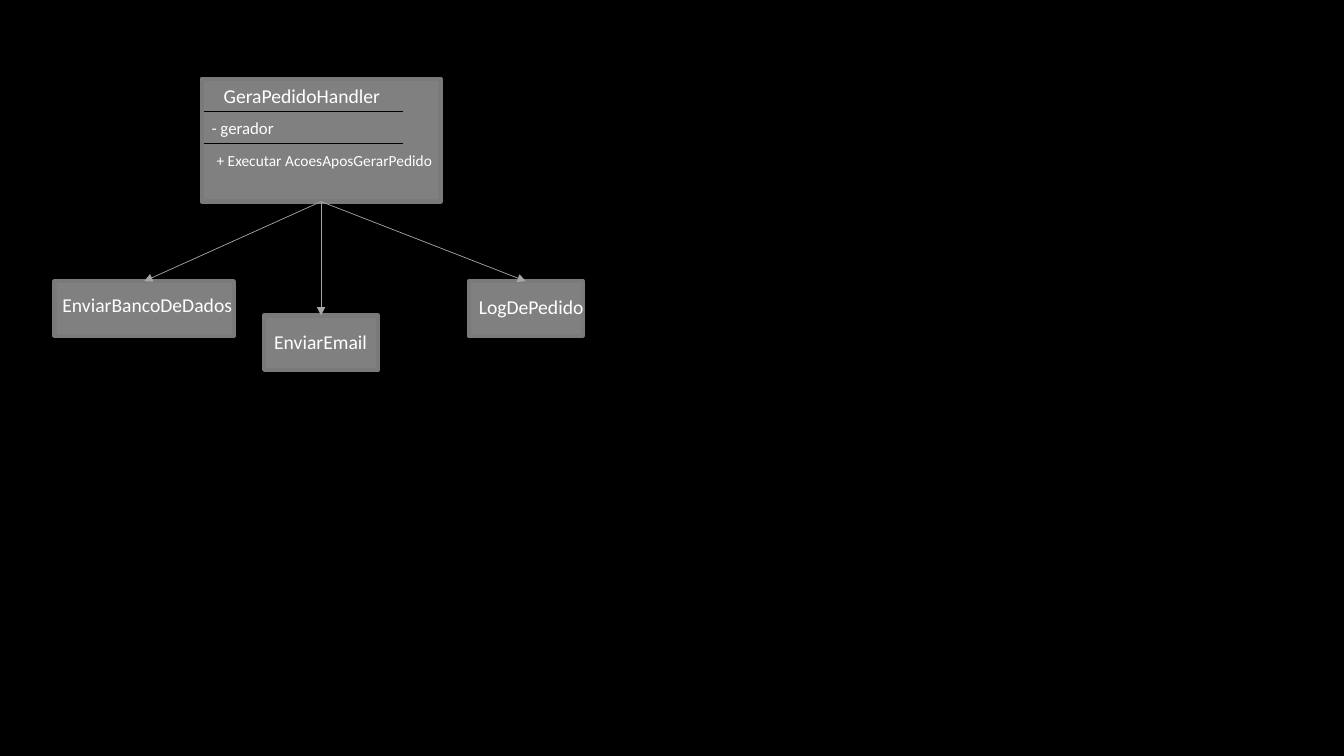
"""Build a class diagram of GeraPedidoHandler and the three actions it runs."""
from lxml import etree
from pptx import Presentation
from pptx.dml.color import RGBColor
from pptx.enum.shapes import MSO_CONNECTOR as Connector, MSO_SHAPE as Shape
from pptx.enum.text import MSO_AUTO_SIZE as AutoSize
from pptx.oxml.ns import qn
from pptx.util import Inches, Pt

BACKGROUND, BOX_FILL, BOX_LINE = "000000", "808080", "7A7A7A"
DIVIDER, ARROW, TEXT = "000000", "A6A6A6", "FFFFFF"

HANDLER_BOX = (2, 0.78, 2.37, 1.22)
HANDLER_LABELS = [
    ("GeraPedidoHandler", 14, (2.12, 0.78, 1.77, 0.34)),
    ("- gerador", 12, (2, 1.12, 0.82, 0.5)),
    ("+ Executar AcoesAposGerarPedido", 11, (2.05, 1.45, 2.37, 0.29)),
]
DIVIDER_LEFT, DIVIDER_RIGHT = 2.02, 4
DIVIDER_TOPS = [1.1, 1.42]
ACTIONS = [
    ("EnviarEmail", (2.62, 3.13, 1.13, 0.54), (2.62, 3.22, 1.13, 0.34)),
    ("EnviarBancoDeDados", (0.54, 2.79, 1.78, 0.54), (0.52, 2.86, 1.9, 0.34)),
    ("LogDePedido", (4.65, 2.79, 1.13, 0.54), (4.65, 2.88, 1.25, 0.34)),
]


def color(value):
    """Turn a hex string into a colour."""
    return RGBColor.from_string(value)


def add_box(slide, place):
    """Add a grey class box."""
    shape = slide.shapes.add_shape(Shape.RECTANGLE, *map(Inches, place))
    shape.shadow.inherit = False
    shape.fill.solid()
    shape.fill.fore_color.rgb = color(BOX_FILL)
    shape.line.color.rgb = color(BOX_LINE)
    shape.line.width = Pt(3)


def add_label(slide, text, size, place):
    """Add one line of text that does not wrap."""
    frame = slide.shapes.add_textbox(*map(Inches, place)).text_frame
    frame.word_wrap = False
    frame.auto_size = AutoSize.SHAPE_TO_FIT_TEXT
    run = frame.paragraphs[0].add_run()
    run.text = text
    for name, value in {"name": "Calibri", "size": Pt(size)}.items():
        setattr(run.font, name, value)
    run.font.color.rgb = color(TEXT)


def add_line(slide, start, end, line_color, arrow=False):
    """Add a thin line, with an arrowhead at its end if asked."""
    connector = slide.shapes.add_connector(
        Connector.STRAIGHT, *map(Inches, (*start, *end)))
    connector.line.color.rgb = color(line_color)
    connector.line.width = Pt(0.5)
    if arrow:
        outline = connector.line._get_or_add_ln()
        etree.SubElement(outline, qn("a:tailEnd"), type="triangle")
    etree.SubElement(connector._element.spPr, qn("a:effectLst"))


def bottom_center(place):
    """Return the middle of a box's lower edge."""
    left, top, width, height = place
    return left + width / 2, top + height


def top_center(place):
    """Return the middle of a box's upper edge."""
    left, top, width, _ = place
    return left + width / 2, top


presentation = Presentation()
presentation.slide_width = Inches(13.33)
presentation.slide_height = Inches(7.5)
slide = presentation.slides.add_slide(presentation.slide_layouts[6])
slide.background.fill.solid()
slide.background.fill.fore_color.rgb = color(BACKGROUND)

add_box(slide, HANDLER_BOX)
for top in DIVIDER_TOPS:
    add_line(slide, (DIVIDER_LEFT, top), (DIVIDER_RIGHT, top), DIVIDER)
for label in HANDLER_LABELS:
    add_label(slide, *label)
for text, box, label_place in ACTIONS:
    add_box(slide, box)
    add_label(slide, text, 14, label_place)
for _, box, _ in ACTIONS:
    add_line(slide, bottom_center(HANDLER_BOX), top_center(box), ARROW, arrow=True)

presentation.save("out.pptx")
